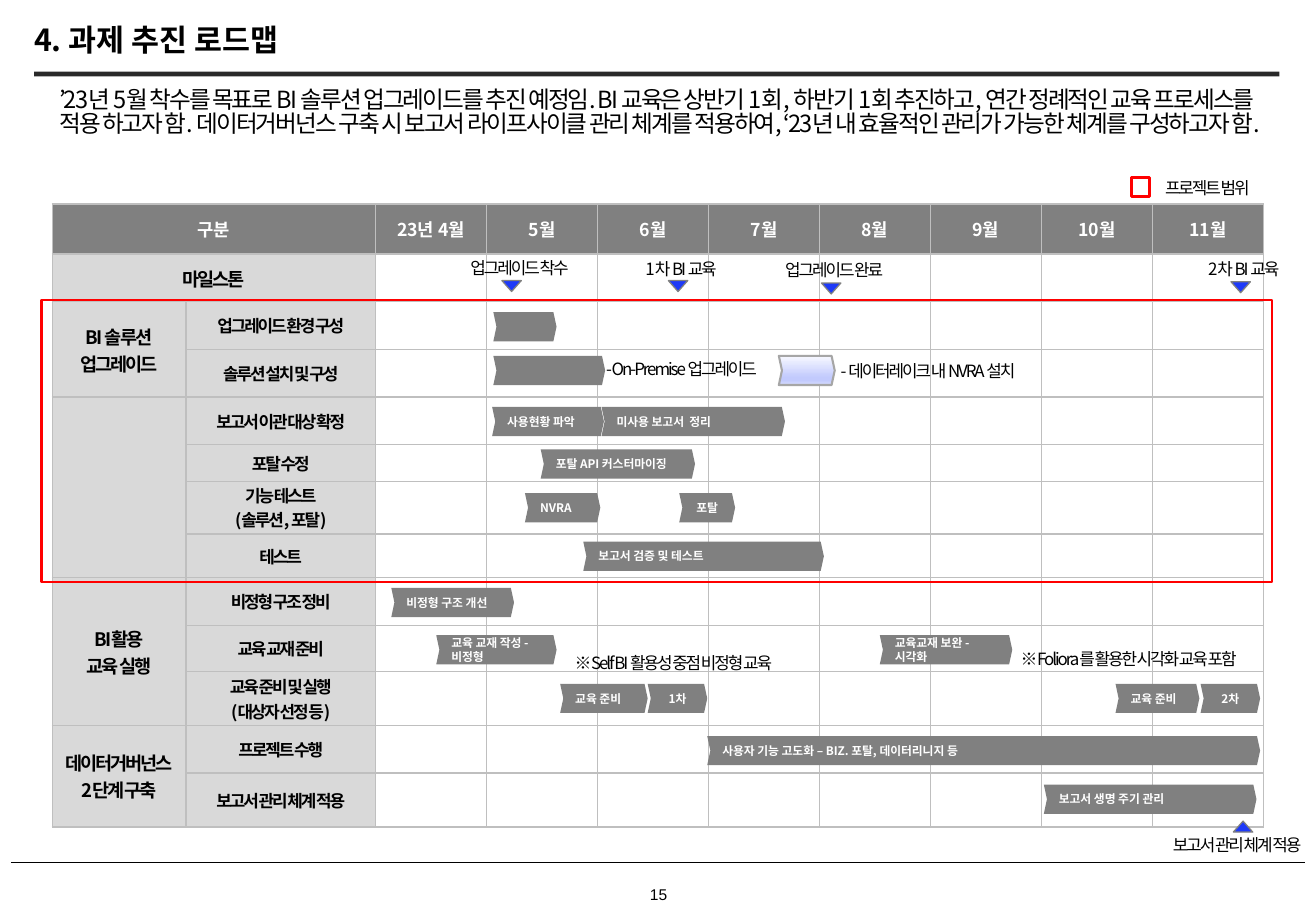
import pptx
import pptx.util
import pptx.dml.color
import pptx.enum.shapes
import pptx.enum.text
from lxml import etree
from pptx.util import Inches
from pptx.oxml.ns import qn

SHAPE = pptx.enum.shapes.MSO_SHAPE
ALIGN = pptx.enum.text.PP_ALIGN
MID = pptx.enum.text.MSO_ANCHOR.MIDDLE
THEME = {
    "font": "Noto Sans CJK KR", "latin": "Arial",
    "black": "000000", "white": "FFFFFF", "rule": "292929",
    "head": "808080", "side": "D9D9D9", "grid": "BFBFBF",
    "mark": "1E3AF8", "scope": "FF0000", "edge": "A6A6A6",
    "fade": [(0, "F8F9FF"), (74, "C2CAFD"), (83, "C2CAFD"), (100, "D6DCFE")],
    "title": 18, "intro": 14, "group": 11, "top": 10.5, "note": 10, "page": 9.2, "bar": 7,
}


def write(frame, text, size, color="black", bold=False, align=ALIGN.LEFT, tight=0, font="font"):
    frame.text = text
    for para in frame.paragraphs:
        para.alignment = align
        face = para.font
        face.size = pptx.util.Pt(THEME[size])
        face.bold = bold
        face.color.rgb = pptx.dml.color.RGBColor.from_string(THEME[color])
        face.name = THEME[font]
        etree.SubElement(face._element, qn("a:ea"), typeface=THEME[font])
        if tight:
            face._element.set("spc", str(round(tight * 100)))


def draw(kind, box, fill=None, line=None, width=1.0):
    shape = slide.shapes.add_shape(kind, *map(Inches, box))
    shape.shadow.inherit = False
    if fill:
        shape.fill.solid()
        shape.fill.fore_color.rgb = pptx.dml.color.RGBColor.from_string(THEME[fill])
    else:
        shape.fill.background()
    if line:
        shape.line.color.rgb = pptx.dml.color.RGBColor.from_string(THEME[line])
        shape.line.width = pptx.util.Pt(width)
    else:
        shape.line.fill.background()
    return shape


deck = pptx.Presentation()
deck.slide_width, deck.slide_height = Inches(10.83), Inches(7.5)
slide = deck.slides.add_slide(deck.slide_layouts[5])

# Title and rules
title = slide.shapes.title
title.left, title.top, title.width, title.height = map(Inches, (0.28, 0.21, 2.25, 0.27))
frame = title.text_frame
write(frame, "4. 과제 추진 로드맵", "title", bold=True)
frame.margin_left = frame.margin_right = frame.margin_top = frame.margin_bottom = 0
frame.word_wrap = False
frame.auto_size = pptx.enum.text.MSO_AUTO_SIZE.NONE
frame.vertical_anchor = MID
frame.paragraphs[0].line_spacing = 0.9
draw(SHAPE.RECTANGLE, (0.28, 0.59, 10.25, 0.04), "rule")
foot = slide.shapes.add_connector(pptx.enum.shapes.MSO_CONNECTOR.STRAIGHT,
                                  *map(Inches, (0.09, 7.1, 10.74, 7.1)))
foot.line.color.rgb = pptx.dml.color.RGBColor.from_string(THEME["black"])
foot.line.width = pptx.util.Pt(1)
etree.SubElement(foot._element.spPr, qn("a:effectLst"))

# Roadmap table: group, rows in group, then task labels
months = ["23년 4월"] + [f"{month}월" for month in range(5, 12)]
groups = [
    ("BI 솔루션\n업그레이드", ["업그레이드 환경 구성", "솔루션 설치 및 구성"]),
    ("", ["보고서 이관 대상 확정", "포탈 수정", "기능 테스트\n(솔루션, 포탈)", "테스트"]),
    ("BI활용\n교육 실행", ["비정형 구조 정비", "교육 교재 준비", "교육 준비 및 실행\n(대상자 선정 등)"]),
    ("데이터거버넌스\n2단계 구축", ["프로젝트 수행", "보고서 관리 체계 적용"]),
]
wide, tall = 9.97, 5.13
rows = [0.41, 0.39, 0.39, 0.39, 0.39, 0.3, 0.43, 0.36, 0.39, 0.38, 0.44, 0.39, 0.44]
cols = [1.1, 1.56] + [(wide - 2.66) / len(months)] * len(months)
table = slide.shapes.add_table(len(rows), len(cols),
                               *map(Inches, (0.43, 1.68, wide, tall))).table
table.first_row = table.horz_banding = False
for col, width in zip(table.columns, cols):
    col.width = Inches(width)
for row, height in zip(table.rows, rows):
    row.height = Inches(height * tall / sum(rows))

words = {(0, 0): "구분", (1, 0): "마일스톤"}
words.update({(0, 2 + i): month for i, month in enumerate(months)})
spans = [(0, 0, 0, 1), (1, 0, 1, 1)]
start = 2
for name, tasks in groups:
    words[start, 0] = name
    words.update({(start + i, 1): task for i, task in enumerate(tasks)})
    spans.append((start, 0, start + len(tasks) - 1, 0))
    start += len(tasks)

for r in range(len(rows)):
    for c in range(len(cols)):
        cell = table.cell(r, c)
        cell.margin_left = cell.margin_right = cell.margin_top = cell.margin_bottom = 0
        cell.vertical_anchor = MID
        props = cell._tc.get_or_add_tcPr()
        for side in ("lnL", "lnR", "lnT", "lnB"):
            edge = etree.SubElement(props, qn("a:" + side), w="12700")
            paint = etree.SubElement(edge, qn("a:solidFill"))
            etree.SubElement(paint, qn("a:srgbClr"), val=THEME["grid"])
        if r == 0 or c < 2:
            cell.fill.solid()
            tone = THEME["head" if r == 0 else "side"]
            cell.fill.fore_color.rgb = pptx.dml.color.RGBColor.from_string(tone)
        else:
            cell.fill.background()
        size = "top" if r == 0 else "group" if c == 0 else "note"
        write(cell.text_frame, words.get((r, c), ""), size, "black" if r else "white",
              True, ALIGN.CENTER, -1.2 if r else 0)
for r, c, last, end in spans:
    table.cell(r, c).merge(table.cell(last, end))

# Task bars by lane: top, then left, width, label
lanes = [
    (2.57, [(4.06, 0.52, "")]),
    (2.93, [(4.06, 0.92, ""), (6.41, 0.46, None)]),
    (3.35, [(4.05, 0.92, "사용현황 파악"), (4.95, 1.51, "미사용 보고서  정리")]),
    (3.7, [(4.45, 1.27, "포탈 API 커스터마이징")]),
    (4.06, [(4.32, 0.62, "NVRA"), (5.59, 0.46, "포탈")]),
    (4.46, [(4.8, 1.98, "보고서 검증 및 테스트")]),
    (4.84, [(3.22, 1.01, "비정형 구조 개선")]),
    (5.23, [(3.59, 0.99, "교육 교재 작성 - 비정형"), (7.24, 1.09, "교육교재 보완 - 시각화")]),
    (5.63, [(4.61, 0.72, "교육 준비"), (5.33, 0.49, "1차"),
            (9.18, 0.69, "교육 준비"), (9.88, 0.49, "2차")]),
    (6.06, [(5.82, 4.55, "사용자 기능 고도화 – BIZ. 포탈, 데이터리니지 등")]),
    (6.46, [(8.59, 1.75, "보고서 생명 주기 관리")]),
]
for top, bars in lanes:
    for left, width, label in bars:
        bar = draw(SHAPE.CHEVRON, (left, top, width, 0.24), "head")
        bar.adjustments[0] = 0.107
        if label:
            bar.text_frame.vertical_anchor = MID
            write(bar.text_frame, label, "bar", "white", True,
                  ALIGN.CENTER if width < 0.5 else ALIGN.LEFT)
        elif label is None:
            # Data lake bar with a vertical fade
            bar.line.color.rgb = pptx.dml.color.RGBColor.from_string(THEME["edge"])
            bar.line.width = pptx.util.Pt(1.25)
            bar.fill.gradient()
            bar.fill.gradient_angle = 270
            stops = bar._element.spPr.find(qn("a:gradFill")).find(qn("a:gsLst"))
            for stop in list(stops):
                stops.remove(stop)
            for place, tone in THEME["fade"]:
                stop = etree.SubElement(stops, qn("a:gs"), pos=str(place * 1000))
                etree.SubElement(stop, qn("a:srgbClr"), val=tone)

# Milestone marks: left, top, turn
for left, top, turn in [(4.13, 2.31, 180), (5.5, 2.31, 180), (6.76, 2.33, 180),
                        (10.13, 2.32, 180), (10.15, 6.76, 0)]:
    mark = draw(SHAPE.ISOSCELES_TRIANGLE, (left, top, 0.16, 0.09), "mark", "head", 0.75)
    mark.rotation = turn

# Project scope frame and its key
for box in [(0.34, 2.47, 10.13, 2.32), (9.31, 1.46, 0.15, 0.16)]:
    draw(SHAPE.RECTANGLE, box, line="scope", width=1.5)

# Intro, milestone names and side notes
intro = ("’23년 5월 착수를 목표로 BI 솔루션 업그레이드를 추진 예정임. BI 교육은 상반기 1회, 하반기 1회 "
         "추진하고, 연간 정례적인 교육 프로세스를 적용 하고자 함. 데이터거버넌스 구축 시 보고서 라이프사이클 "
         "관리 체계를 적용하여, ‘23년 내 효율적인 관리가 가능한 체계를 구성하고자 함.")
notes = [
    (0.39, 0.69, 10.13, intro, "intro", ALIGN.LEFT),
    (3.69, 2.07, 1.17, "업그레이드 착수", "note", ALIGN.CENTER),
    (5.02, 2.08, 1.17, "1차 BI 교육", "note", ALIGN.CENTER),
    (6.28, 2.09, 1.17, "업그레이드 완료", "note", ALIGN.CENTER),
    (9.65, 2.08, 1.17, "2차 BI 교육", "note", ALIGN.CENTER),
    (9.47, 6.82, 1.42, "보고서 관리 체계 적용", "note", ALIGN.CENTER),
    (9.36, 1.41, 1.15, "프로젝트 범위", "note", ALIGN.CENTER),
    (4.89, 2.9, 1.57, "- On-Premise 업그레이드", "note", ALIGN.LEFT),
    (6.82, 2.92, 2.22, "- 데이터레이크 내 NVRA 설치", "note", ALIGN.LEFT),
    (4.63, 5.32, 2.22, "※ Self BI 활용성 중점 비정형 교육", "note", ALIGN.LEFT),
    (8.3, 5.29, 2.22, "※ Foliora를 활용한 시각화 교육 포함", "note", ALIGN.LEFT),
]
for left, top, width, text, size, align in notes:
    high = 0.81 if size == "intro" else 0.27
    frame = slide.shapes.add_textbox(*map(Inches, (left, top, width, high))).text_frame
    frame.word_wrap = True
    write(frame, text, size, align=align, tight=-1.2)
    if size == "intro":
        frame.paragraphs[0].line_spacing = 0.83
        frame.paragraphs[0].space_after = pptx.util.Pt(3)

# Page number
frame = slide.shapes.add_textbox(*map(Inches, (5.34, 7.28, 0.16, 0.16))).text_frame
frame.margin_left = frame.margin_right = frame.margin_top = frame.margin_bottom = 0
frame.vertical_anchor = MID
write(frame, "15", "page", align=ALIGN.CENTER, font="latin")

deck.save("out.pptx")
